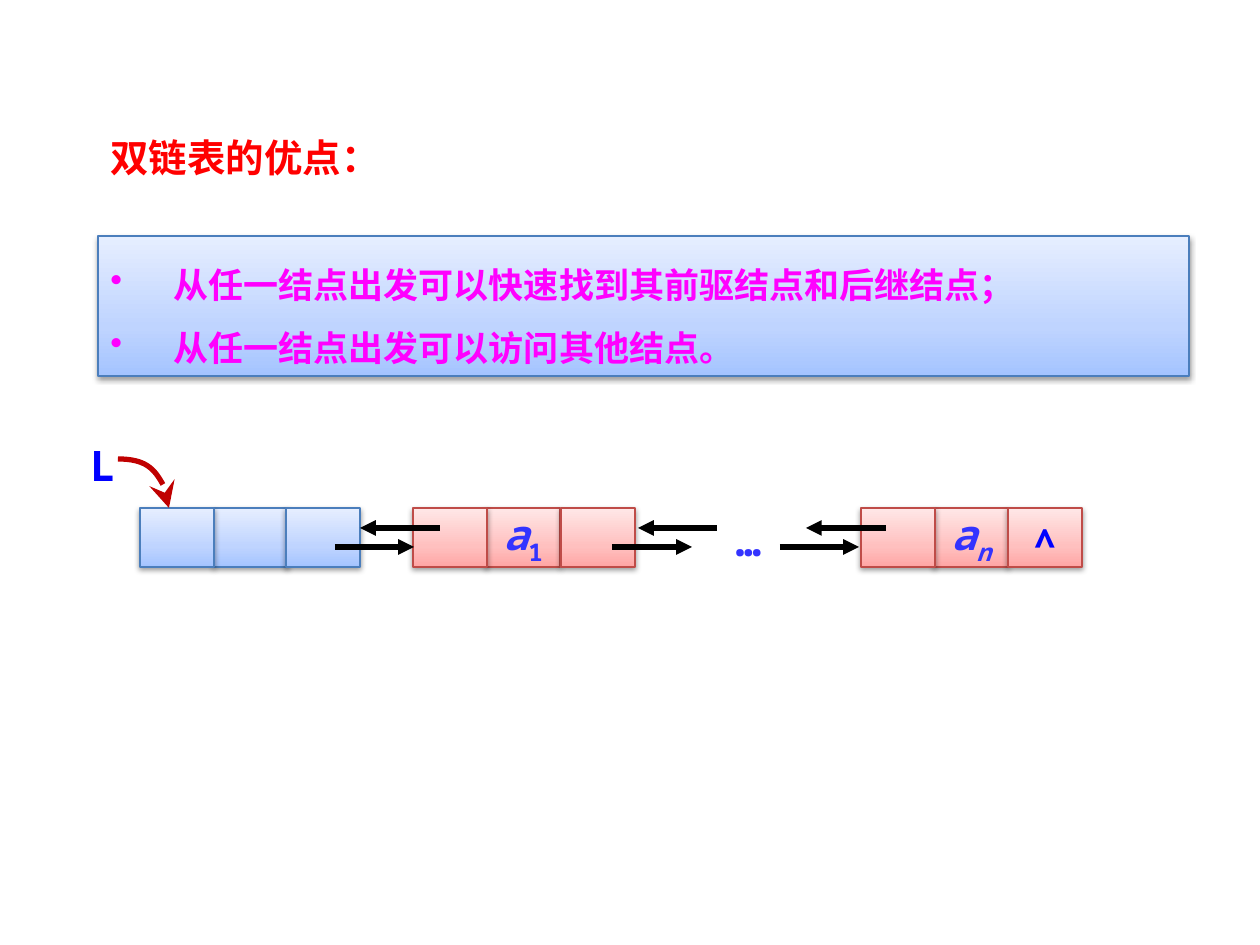
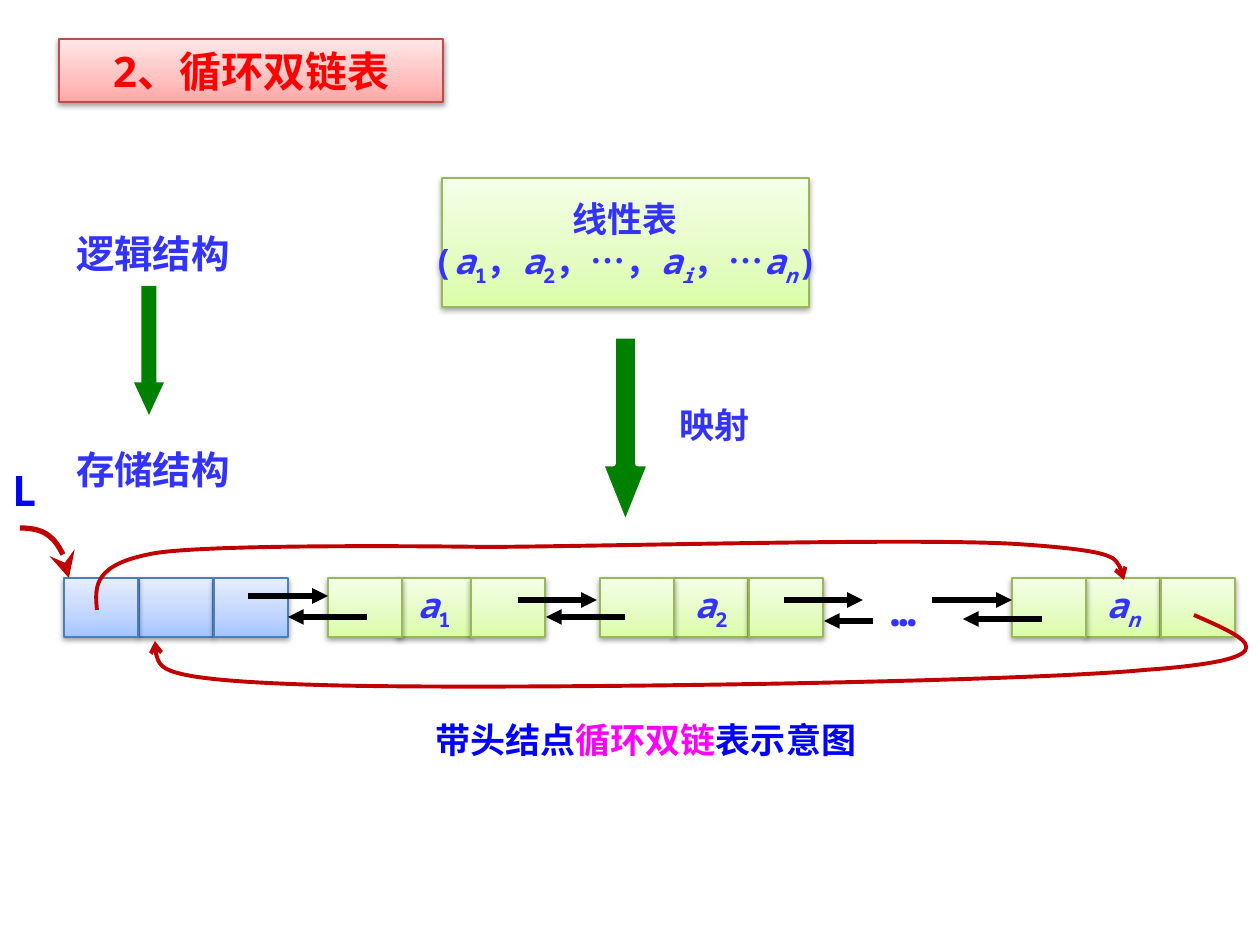
import copy

import pptx
import pptx.util
import pptx.dml.color
import pptx.enum.dml
import pptx.enum.shapes
import pptx.enum.text
import pptx.oxml
import pptx.oxml.ns
import lxml.etree

PX = 914400 / 126
FONT = "Noto Sans Mono"
C = {
    "red": "FF0000", "magenta": "FF00FF", "blue": "0000FF", "indigo": "3333FF",
    "green": "008000", "crimson": "C00000", "black": "000000", "white": "FFFFFF",
}
TONES = {
    "blue": ("A4C4FF", "BFD4FF", "E6EEFF", "4B7EBC"),
    "pink": ("FFA6A5", "FFC0BF", "FFE7E7", "BF4C48"),
    "lime": ("DAFDA7", "E4FCC2", "F5FFE7", "98B955"),
}
SHADOW = (
    '<a:outerShdw xmlns:a="http://schemas.openxmlformats.org/drawingml/2006/main" '
    'blurRad="40000" dist="20000" dir="5400000" rotWithShape="0">'
    '<a:srgbClr val="000000"><a:alpha val="38000"/></a:srgbClr></a:outerShdw>'
)
rgb = pptx.dml.color.RGBColor.from_string
qn = pptx.oxml.ns.qn
RECT = pptx.enum.shapes.MSO_SHAPE.RECTANGLE
DOWN = pptx.enum.shapes.MSO_SHAPE.DOWN_ARROW
STRAIGHT = pptx.enum.shapes.MSO_CONNECTOR.STRAIGHT
ALIGN = pptx.enum.text.PP_ALIGN
ANCHOR = pptx.enum.text.MSO_ANCHOR
GROW = pptx.enum.text.MSO_AUTO_SIZE.SHAPE_TO_FIT_TEXT


def box(s, x, y, w, h, tone):
    sp = s.shapes.add_shape(RECT, *(round(v * PX) for v in (x, y, w, h)))
    sp.fill.gradient()
    sp.fill.gradient_angle = 90
    stops = sp._element.spPr.find(".//" + qn("a:gsLst"))
    stops.insert(1, copy.deepcopy(stops[0]))
    for stop, pos, colour in zip(sp.fill.gradient_stops, (0, 0.35, 1), TONES[tone]):
        stop.position = pos
        stop.color.rgb = rgb(colour)
    sp.line.color.rgb = rgb(TONES[tone][3])
    sp.line.width = pptx.util.Pt(0.75)
    sp.shadow.inherit = False
    sp._element.spPr.find(qn("a:effectLst")).append(pptx.oxml.parse_xml(SHADOW))
    return sp


def write(tf, paras, size, colour, align=ALIGN.CENTER, centred=False):
    tf.word_wrap = not centred
    tf.vertical_anchor = ANCHOR.MIDDLE if centred else ANCHOR.TOP
    if not centred:
        tf.auto_size = GROW
    for i, runs in enumerate(paras):
        p = tf.add_paragraph() if i else tf.paragraphs[0]
        p.alignment = align
        p.font.name = FONT
        p.font.size = pptx.util.Pt(size)
        p.font.bold = True
        if not any(style in C for _, style in runs):
            p.font.color.rgb = rgb(C[colour])
        for text, style in runs:
            r = p.add_run()
            r.text = text
            if style in C:
                r.font.color.rgb = rgb(C[style])
            if style in ("i", "i_"):
                r.font.italic = True
            if style in ("_", "i_"):
                r._r.get_or_add_rPr().set("baseline", "-25000")


prs = pptx.Presentation()
prs.slide_width = round(1260 * PX)
prs.slide_height = round(945 * PX)
merits, circular = (prs.slides.add_slide(prs.slide_layouts[6]) for _ in range(2))

sp = box(merits, 98, 236, 1091, 140, "blue")
write(sp.text_frame, [
    [("从任一结点出发可以快速找到其前驱结点和后继结点；", "")],
    [("从任一结点出发可以访问其他结点。", "")],
], 20, "magenta", ALIGN.LEFT)
for p in sp.text_frame.paragraphs:
    p.line_spacing = 1.5
    pPr = p._p.get_or_add_pPr()
    pPr.set("marL", "457200")
    pPr.set("indent", "-457200")
    bu = lxml.etree.Element(qn("a:buChar"), char="•")
    pPr.insert(list(pPr).index(pPr.find(qn("a:defRPr"))), bu)

sp = box(circular, 59, 39, 384, 63, "pink")
write(sp.text_frame, [[("2、循环双链表", "")]], 24, "red")

sp = box(circular, 442, 178, 367, 129, "lime")
write(sp.text_frame, [
    [("线性表", "")],
    [("(", ""), ("a", "i"), ("1", "_"), ("，", ""), ("a", "i"), ("2", "_"),
     ("，…，", ""), ("a", "i"), ("i", "i_"), ("，…", ""), ("a", "i"), ("n", "i_"), (")", "")],
], 20, "indigo", centred=True)

for x, y, w, h, head in [(601, 336, 49, 189, 1.249), (134, 286, 30, 129, 1.083)]:
    sp = circular.shapes.add_shape(DOWN, *(round(v * PX) for v in (x, y, w, h)))
    sp.adjustments[0] = 0.5
    sp.adjustments[1] = head
    sp.shadow.inherit = False
    sp.fill.solid()
    sp.fill.fore_color.rgb = rgb(C["green"])
    if w > 40:
        sp.line.color.rgb = rgb(C["white"])
        sp.line.width = pptx.util.Pt(3)
    else:
        sp.line.fill.background()

a1 = [("a", "i"), ("1", "_")]
a2 = [("a", "i"), ("2", "_")]
an = [("a", "i"), ("n", "i_")]
nodes = [
    (merits, (140, 214, 286), 508, "blue", None, None, 24),
    (merits, (413, 486, 561), 508, "pink", a1, None, 24),
    (merits, (861, 934, 1008), 508, "pink", an, [("∧", "")], 24),
    (circular, (64, 139, 214), 578, "blue", None, None, 20),
    (circular, (328, 397, 471), 578, "lime", a1, None, 20),
    (circular, (600, 674, 749), 578, "lime", a2, None, 20),
    (circular, (1012, 1086, 1161), 578, "lime", an, None, 20),
]
for s, (prior_x, data_x, next_x), y, tone, data, link, size in nodes:
    for x, runs, pt, colour in [(data_x, data, size, "indigo"), (next_x, link, 20, "blue"),
                                (prior_x, None, size, "indigo")]:
        sp = box(s, x, y, 74, 59, tone)
        if runs:
            write(sp.text_frame, [runs], pt, colour, centred=True)

labels = [
    (merits, 98, 128, 684, 59, [("双链表的优点：", "")], 22, "red", ALIGN.LEFT),
    (merits, 709, 508, 79, 63, [("…", "")], 24, "indigo", ALIGN.CENTER),
    (merits, 78, 433, 59, 63, [("L", "")], 24, "blue", ALIGN.LEFT),
    (circular, 651, 397, 128, 54, [("映射", "")], 20, "indigo", ALIGN.CENTER),
    (circular, 34, 224, 238, 59, [("逻辑结构", "")], 22, "indigo", ALIGN.CENTER),
    (circular, 34, 440, 238, 59, [("存储结构", "")], 22, "indigo", ALIGN.CENTER),
    (circular, 864, 578, 79, 63, [("…", "")], 24, "indigo", ALIGN.CENTER),
    (circular, 0, 458, 59, 63, [("L", "")], 24, "blue", ALIGN.LEFT),
    (circular, 423, 712, 483, 55,
     [("带头结点", "blue"), ("循环双链", "magenta"), ("表示意图", "blue")], 20, "blue", ALIGN.LEFT),
]
for s, x, y, w, h, runs, size, colour, align in labels:
    tb = s.shapes.add_textbox(*(round(v * PX) for v in (x, y, w, h)))
    write(tb.text_frame, [runs], size, colour, align)

lines = []
links = [
    (merits, 335, 414, 547), (merits, 612, 692, 547), (merits, 780, 859, 547),
    (merits, 440, 360, 528), (merits, 717, 638, 528), (merits, 886, 806, 528),
    (circular, 248, 328, 596), (circular, 518, 597, 600),
    (circular, 784, 863, 600), (circular, 932, 1012, 600),
    (circular, 367, 288, 617), (circular, 625, 546, 617),
    (circular, 873, 824, 621), (circular, 1042, 963, 619),
]
for s, x1, x2, y in links:
    cx = s.shapes.add_connector(STRAIGHT, *(round(v * PX) for v in (x1, y, x2, y)))
    lxml.etree.SubElement(cx._element.spPr, qn("a:effectLst"))
    lines.append((cx, "black", 3, "triangle", "med"))

curves = [
    (merits, 3, "stealth", "lg", [(118, 459), (146, 459), (169, 480), (169, 508)]),
    (circular, 3, "stealth", "lg", [(20, 528), (47, 528), (69, 551), (69, 578)]),
    (circular, 2.25, "arrow", "med", [
        (1194, 615), (1246, 638), (1298, 659), (1145, 670), (1007, 683),
        (485, 690), (319, 685), (152, 680), (154, 660), (155, 641)]),
    (circular, 2.25, "arrow", "med", [
        (97, 610), (95, 587), (92, 564), (156, 553), (222, 543), (488, 547), (488, 547),
        (630, 546), (910, 538), (1016, 544), (1121, 551), (1123, 566), (1124, 580)]),
]
for s, width, head, head_size, pts in curves:
    fb = s.shapes.build_freeform(*pts[0], scale=PX)
    fb.add_line_segments(pts[1:], close=False)
    sp = fb.convert_to_shape()
    segments = sp._element.findall(".//" + qn("a:lnTo"))
    for i in range(0, len(segments), 3):
        bezier = lxml.etree.Element(qn("a:cubicBezTo"))
        segments[i].addprevious(bezier)
        for segment in segments[i:i + 3]:
            bezier.append(segment[0])
            segment.getparent().remove(segment)
    sp.fill.background()
    sp.shadow.inherit = False
    lines.append((sp, "crimson", width, head, head_size))

for sp, colour, width, head, head_size in lines:
    sp.line.color.rgb = rgb(C[colour])
    sp.line.width = pptx.util.Pt(width)
    lxml.etree.SubElement(sp.line._get_or_add_ln(), qn("a:tailEnd"),
                          type=head, w=head_size, len=head_size)

prs.save("out.pptx")
